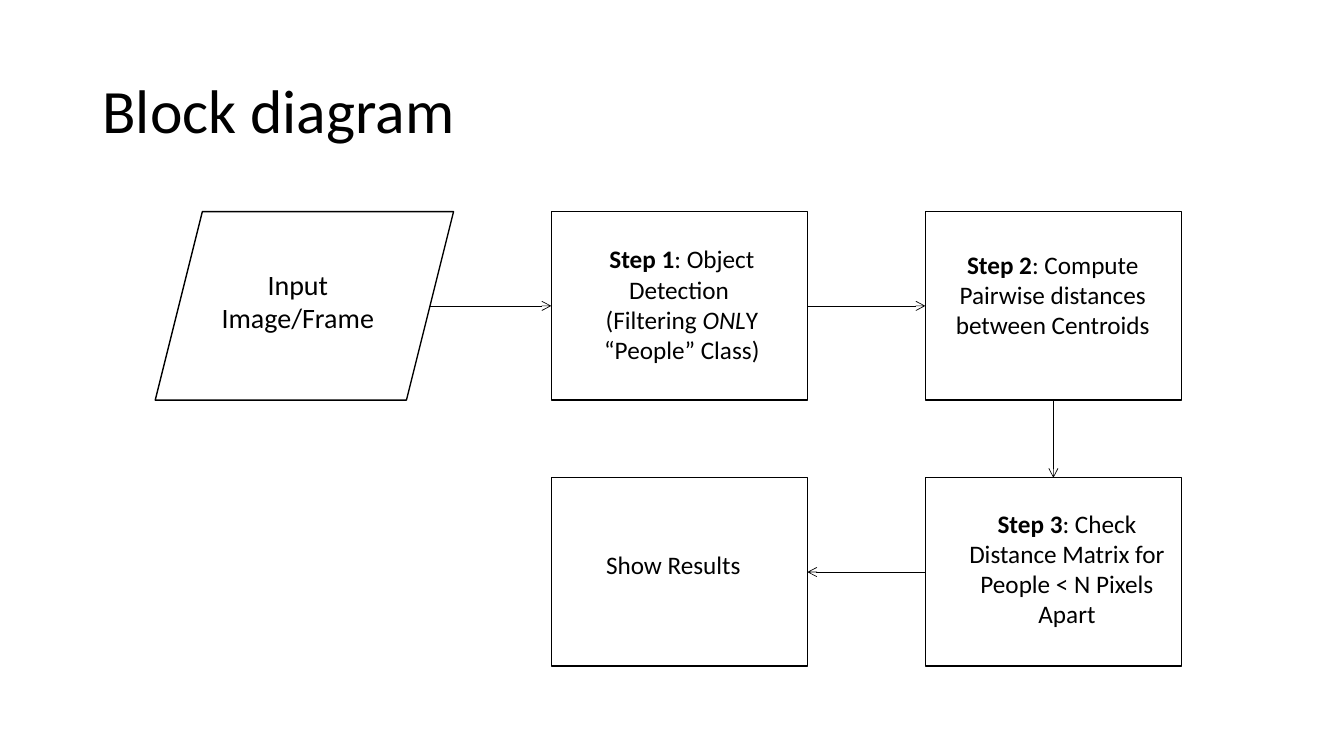
from dataclasses import dataclass

from lxml.etree import SubElement
from pptx import Presentation
from pptx.dml.color import RGBColor
from pptx.enum.shapes import MSO_CONNECTOR, MSO_SHAPE
from pptx.enum.text import MSO_ANCHOR, MSO_AUTO_SIZE, PP_ALIGN
from pptx.oxml.ns import qn
from pptx.util import Pt


@dataclass(frozen=True)
class Theme:
    font: str = "Calibri"
    ink: RGBColor = RGBColor(0, 0, 0)
    paper: RGBColor = RGBColor(255, 255, 255)
    title_size: int = 44
    input_size: int = 20
    step_size: int = 18
    outline: float = 1
    arrow: float = 0.5


# Connection sites of a rectangle
TOP, LEFT, BOTTOM, RIGHT = range(4)

# Grid of blocks
BLOCK_W, BLOCK_H = 182.9, 134.6
COLUMNS = (393.8, 661)
ROWS = (151.2, 341.3)
INPUT_LEFT, INPUT_W = 110.9, 213.1


class DiagramSlide:
    def __init__(self, slide, theme):
        self.shapes = slide.shapes
        self.theme = theme

    def block(self, left, top, width=BLOCK_W, kind=MSO_SHAPE.RECTANGLE):
        block = self.shapes.add_shape(kind, Pt(left), Pt(top), Pt(width), Pt(BLOCK_H))
        block.shadow.inherit = False
        block.fill.solid()
        block.fill.fore_color.rgb = self.theme.paper
        block.line.color.rgb = self.theme.ink
        block.line.width = Pt(self.theme.outline)
        return block

    def text(self, left, top, width, height, paragraphs, size):
        """Each paragraph is a list of (words, style); style is "", "b" or "i"."""
        box = self.shapes.add_textbox(Pt(left), Pt(top), Pt(width), Pt(height))
        frame = box.text_frame
        frame.word_wrap = True
        for index, pieces in enumerate(paragraphs):
            paragraph = frame.paragraphs[0] if index == 0 else frame.add_paragraph()
            for words, style in pieces:
                run = paragraph.add_run()
                run.text = words
                run.font.name = self.theme.font
                run.font.size = Pt(size)
                run.font.color.rgb = self.theme.ink
                run.font.bold = style == "b"
                run.font.italic = style == "i"
        return frame

    def title(self, words):
        frame = self.text(66.2, 28.8, 828, 104.4, [[(words, "")]], self.theme.title_size)
        frame.vertical_anchor = MSO_ANCHOR.MIDDLE
        frame.paragraphs[0].line_spacing = 0.9

    def label(self, left, top, width, height, paragraphs, size=None):
        frame = self.text(left, top, width, height, paragraphs, size or self.theme.step_size)
        frame.auto_size = MSO_AUTO_SIZE.SHAPE_TO_FIT_TEXT
        for paragraph in frame.paragraphs:
            paragraph.alignment = PP_ALIGN.CENTER

    def arrow(self, target, target_site, source=None, source_site=None, start=(0, 0)):
        """Runs from a site of the source block, or from a start point."""
        x, y = map(Pt, start)
        arrow = self.shapes.add_connector(MSO_CONNECTOR.STRAIGHT, x, y, x, y)
        if source is not None:
            arrow.begin_connect(source, source_site)
        arrow.end_connect(target, target_site)
        arrow.line.color.rgb = self.theme.ink
        arrow.line.width = Pt(self.theme.arrow)
        SubElement(arrow.line._get_or_add_ln(), qn("a:tailEnd"), type="arrow")
        SubElement(arrow._element.spPr, qn("a:effectLst"))


def main():
    deck = Presentation()
    deck.slide_width, deck.slide_height = Pt(960), Pt(540)
    theme = Theme()
    diagram = DiagramSlide(deck.slides.add_slide(deck.slide_layouts[6]), theme)

    diagram.title("Block diagram")

    # Blocks
    diagram.block(INPUT_LEFT, ROWS[0], INPUT_W, MSO_SHAPE.PARALLELOGRAM)
    detection, distances = [diagram.block(left, ROWS[0]) for left in COLUMNS]
    results, check = [diagram.block(left, ROWS[1]) for left in COLUMNS]

    # Block labels
    diagram.label(148.3, 187.2, 128.9, 55.4,
                  [[("Input", "")], [("Image/Frame", "")]], theme.input_size)
    diagram.label(405.4, 170.6, 163.4, 94.3, [
        [("Step 1", "b"), (": Object Detection ", "")],
        [("(Filtering ", ""), ("ONL", "i"), ("Y “People” Class)", "")],
    ])
    diagram.label(671, 174.2, 162, 72.7, [
        [("Step 2", "b"), (": Compute Pairwise distances between Centroids", "")],
    ])
    diagram.label(681.1, 359.3, 162, 94.3, [
        [("Step 3", "b"), (": Check Distance Matrix for People < N Pixels Apart", "")],
    ])
    diagram.label(405.4, 388.8, 151.2, 28.8, [[("Show Results", "")]])

    # Arrows; the first leaves the middle of the slanted side
    slant = BLOCK_H / 4
    input_edge = (INPUT_LEFT + INPUT_W - slant / 2, ROWS[0] + BLOCK_H / 2)
    diagram.arrow(detection, LEFT, start=input_edge)
    diagram.arrow(distances, LEFT, detection, RIGHT)
    diagram.arrow(check, TOP, distances, BOTTOM)
    diagram.arrow(results, RIGHT, check, LEFT)

    deck.save("out.pptx")


if __name__ == "__main__":
    main()
